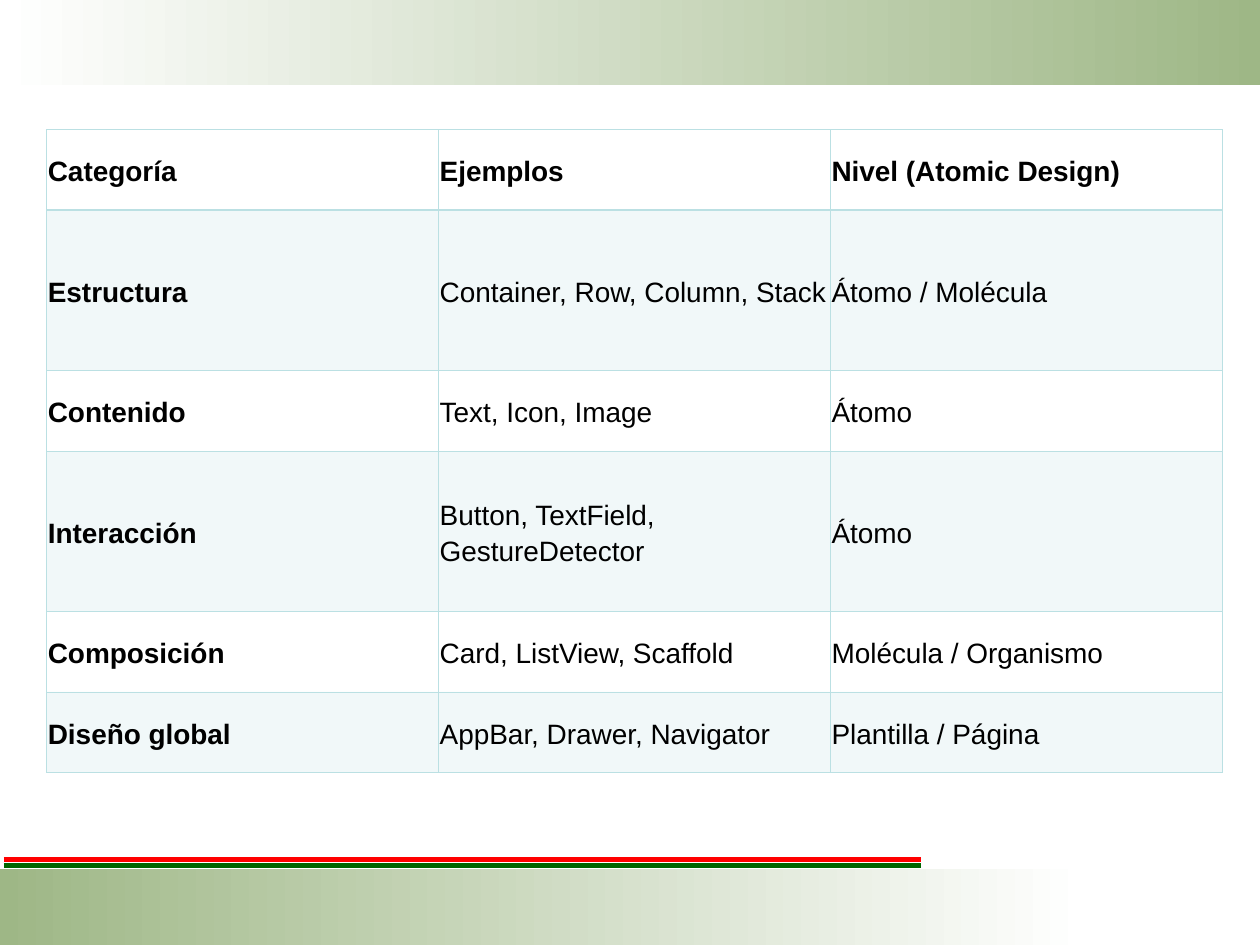
from lxml.etree import SubElement
from pptx import Presentation
from pptx.dml.color import RGBColor
from pptx.enum.shapes import MSO_CONNECTOR, MSO_SHAPE
from pptx.enum.text import MSO_ANCHOR
from pptx.oxml.ns import qn
from pptx.util import Inches, Pt

BLACK = RGBColor(0x00, 0x00, 0x00)
WHITE = RGBColor(0xFF, 0xFF, 0xFF)
SAGE = RGBColor(0x9E, 0xB7, 0x86)
RED = RGBColor(0xFF, 0x00, 0x00)
GREEN = RGBColor(0x00, 0x66, 0x00)
AQUA = RGBColor(0xBB, 0xE0, 0xE3)


def put(cell, text, size=16, bold=False, color=BLACK):
    """Write one formatted paragraph into a table cell."""
    cell.vertical_anchor = MSO_ANCHOR.MIDDLE
    cell.margin_left = cell.margin_right = Inches(0.01)
    cell.margin_top = cell.margin_bottom = Inches(0.05)
    para = cell.text_frame.paragraphs[0]
    para.line_spacing = 1.15
    para.space_after = Pt(8)
    run = para.add_run()
    run.text = text
    run.font.name = "Arial"
    run.font.size = Pt(size)
    run.font.bold = bold
    run.font.color.rgb = color


def edge(cell, side, width):
    """Draw one border of a cell; side is L, R, T or B."""
    line = SubElement(cell._tc.get_or_add_tcPr(), qn(f"a:ln{side}"), w=str(Pt(width)))
    fill = SubElement(line, qn("a:solidFill"))
    SubElement(fill, qn("a:srgbClr"), val=str(AQUA))


deck = Presentation()
deck.slide_width, deck.slide_height = Inches(10), Inches(7.5)
wide, high = deck.slide_width, deck.slide_height
slide = deck.slides.add_slide(deck.slide_layouts[6])
shapes = slide.shapes

# Gradient bands: top, height and width as shares of the slide
for top, tall, span, start, end in [
    (0, 0.09, 1, WHITE, SAGE),
    (0.92, 0.08, 0.862, SAGE, WHITE),
]:
    band = shapes.add_shape(
        MSO_SHAPE.RECTANGLE, 0, int(high * top), int(wide * span), int(high * tall)
    )
    band.shadow.inherit = False
    band.line.fill.background()
    band.fill.gradient()
    band.fill.gradient_angle = 0
    for stop, color in zip(band.fill.gradient_stops, (start, end)):
        stop.color.rgb = color

# Twin rules above the lower band
for y, color in [(6.82, RED), (6.87, GREEN)]:
    rule = shapes.add_connector(
        MSO_CONNECTOR.STRAIGHT, Inches(0.03), Inches(y), Inches(7.31), Inches(y)
    )
    rule.line.color.rgb = color
    rule.line.width = Pt(3)
    SubElement(rule._element.spPr, qn("a:effectLst"))

# Each row: height in grid units, then its three cells
rows = [
    (1, "Categoría", "Ejemplos", "Nivel (Atomic Design)"),
    (2, "Estructura", "Container, Row, Column, Stack", "Átomo / Molécula"),
    (1, "Contenido", "Text, Icon, Image", "Átomo"),
    (2, "Interacción", "Button, TextField, GestureDetector", "Átomo"),
    (1, "Composición", "Card, ListView, Scaffold", "Molécula / Organismo"),
    (1, "Diseño global", "AppBar, Drawer, Navigator", "Plantilla / Página"),
]
unit = Inches(5.1) // sum(row[0] for row in rows)
table = shapes.add_table(
    len(rows), 3, Inches(0.37), Inches(1.03), Inches(9.33), Inches(5.1)
).table
table.first_row = table.horz_banding = False

for r, (units, *texts) in enumerate(rows):
    table.rows[r].height = unit * units
    for c, text in enumerate(texts):
        cell = table.cell(r, c)
        put(cell, text, bold=r == 0 or c == 0)
        for side in "LRTB":
            heavy = (r, side) in [(0, "B"), (1, "T")]
            edge(cell, side, 0.96 if heavy else 0.45)
        if r % 2:
            cell.fill.solid()
            cell.fill.fore_color.rgb = AQUA
            tint = cell._tc.tcPr.find(qn("a:solidFill")).find(qn("a:srgbClr"))
            SubElement(tint, qn("a:alpha"), val="20000")
        else:
            cell.fill.background()

deck.save("out.pptx")
